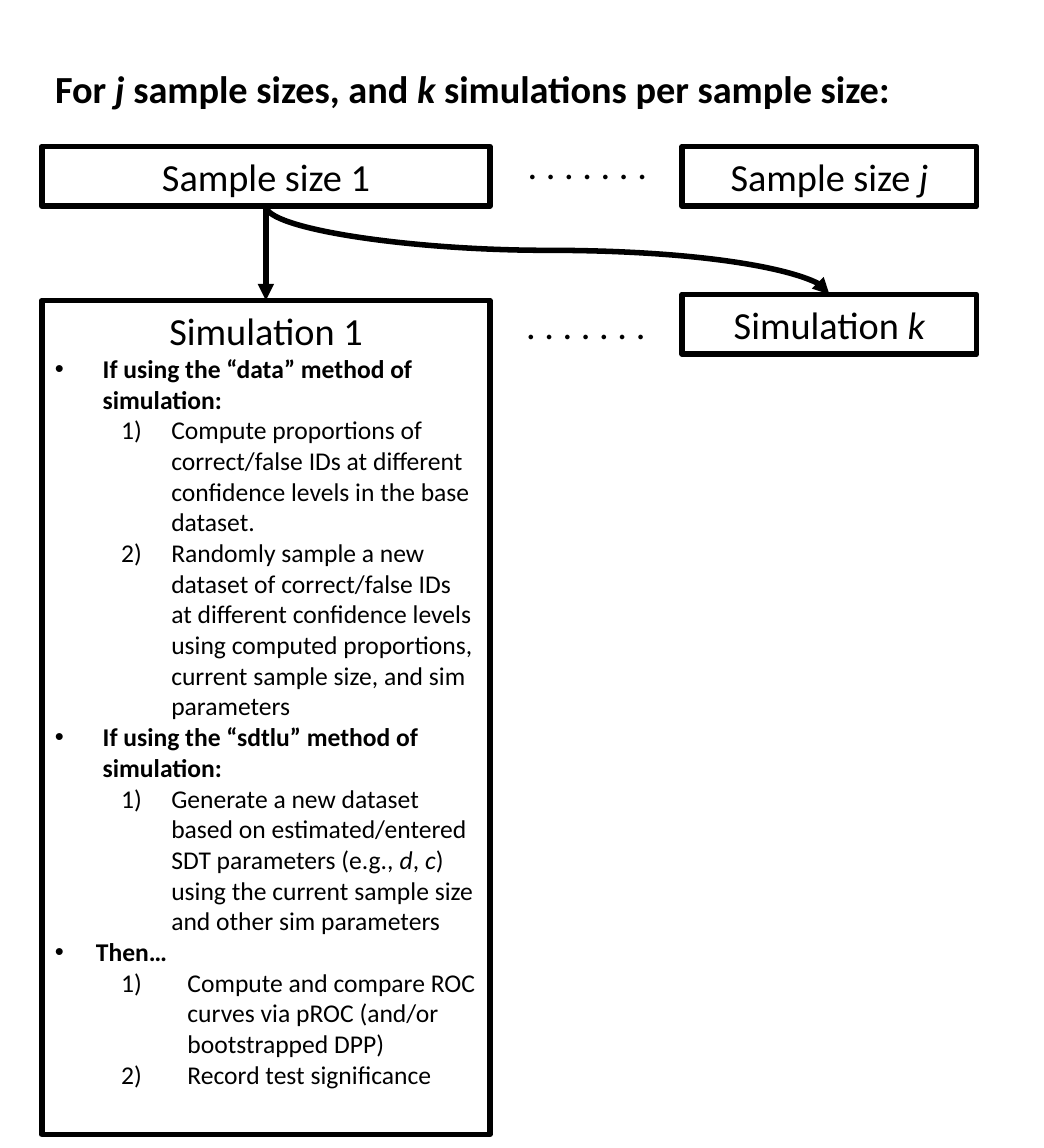
"""Builds a flow slide of simulations run for each sample size."""
from lxml import etree
from pptx import Presentation
from pptx import util as u
from pptx.dml.color import RGBColor
from pptx.enum import shapes, text
from pptx.oxml.ns import qn

COLORS = {"ink": "000000", "paper": "FFFFFF"}
FONT = "Calibri"
HEADING, BODY = 20.8, 13.9
LEFT_X, LEFT_W = 22.7, 243.4
RIGHT_X, RIGHT_W = 370.4, 160
SIZE_Y, RUN_Y = 79.6, 160
BOX_H = 32.4
LINE_W = 3

BULLET = {"marker": ("buChar", "char", "•"), "bold": True}
NUMBER = {"marker": ("buAutoNum", "type", "arabicParenR"), "level": 1}
METHOD = {**BULLET, "margin": 26, "hang": 26}
STEP = {**NUMBER, "margin": 63.2, "hang": 27.2}
FINAL_STEP = {**NUMBER, "margin": 72, "hang": 36}
PROCEDURE = [
    ("If using the “data” method of simulation:", METHOD),
    ("Compute proportions of correct/false IDs at different confidence "
     "levels in the base dataset.", STEP),
    ("Randomly sample a new dataset of correct/false IDs at different "
     "confidence levels using computed proportions, current sample size, "
     "and sim parameters", STEP),
    ("If using the “sdtlu” method of simulation:", METHOD),
    ("Generate a new dataset based on estimated/entered SDT parameters "
     "(e.g., *d*, *c*) using the current sample size and other sim "
     "parameters", STEP),
    ("Then…", {**BULLET, "margin": 22.3, "hang": 22.3}),
    ("Compute and compare ROC curves via pROC (and/or bootstrapped DPP)",
     FINAL_STEP),
    ("Record test significance", FINAL_STEP),
]


def color(name):
    return RGBColor.from_string(COLORS[name])


def write(paragraph, content, size=HEADING, bold=False, align="LEFT",
          marker=None, level=0, margin=0, hang=0):
    """Fills a paragraph; parts between asterisks are italic."""
    paragraph.alignment = getattr(text.PP_ALIGN, align)
    paragraph.level = level
    for index, part in enumerate(content.split("*")):
        if part:
            run = paragraph.add_run()
            run.text = part
            run.font.name = FONT
            run.font.size = u.Pt(size)
            run.font.bold = bold
            run.font.italic = index % 2 == 1
            run.font.color.rgb = color("ink")
    if marker:
        tag, attribute, value = marker
        properties = paragraph._p.get_or_add_pPr()
        properties.set("marL", str(u.Pt(margin)))
        properties.set("indent", str(-u.Pt(hang)))
        etree.SubElement(properties, qn("a:buFont"), typeface="Arial"
                         if tag == "buChar" else "+mj-lt")
        etree.SubElement(properties, qn("a:" + tag)).set(attribute, value)


def prepare_frame(shape):
    frame = shape.text_frame
    frame.word_wrap = True
    frame.auto_size = text.MSO_AUTO_SIZE.NONE
    frame.vertical_anchor = text.MSO_ANCHOR.TOP
    return frame


def add_title(slide, content):
    title = slide.shapes.title
    title.left, title.top = u.Pt(LEFT_X), u.Pt(31.6)
    title.width, title.height = u.Pt(520), u.Pt(BOX_H)
    write(prepare_frame(title).paragraphs[0], content, bold=True)


def add_box(slide, x, y, width, height, heading):
    box = slide.shapes.add_shape(shapes.MSO_SHAPE.RECTANGLE, u.Pt(x), u.Pt(y),
                                 u.Pt(width), u.Pt(height))
    box.shadow.inherit = False
    box.fill.background()
    box.line.color.rgb = color("ink")
    box.line.width = u.Pt(LINE_W)
    write(prepare_frame(box).paragraphs[0], heading, align="CENTER")
    return box


def add_dots(slide, x, y):
    dots = slide.shapes.add_textbox(u.Pt(x), u.Pt(y), u.Pt(100), u.Pt(BOX_H))
    write(prepare_frame(dots).paragraphs[0], ". . . . . . .")


def add_arrow(slide, source, target, kind):
    arrow = slide.shapes.add_connector(kind, 0, 0, 0, 0)
    arrow.begin_connect(source, 2)
    arrow.end_connect(target, 0)
    arrow.line.color.rgb = color("ink")
    arrow.line.width = u.Pt(LINE_W)
    etree.SubElement(arrow.line._get_or_add_ln(), qn("a:tailEnd"),
                     type="triangle")
    etree.SubElement(arrow._element.spPr, qn("a:effectLst"))
    return arrow


def turn_downward(arrow):
    """Makes a curved connector leave and arrive vertically."""
    span, drop = arrow.width, arrow.height
    arrow.left += (span - drop) // 2
    arrow.top += (drop - span) // 2
    arrow.width, arrow.height = drop, span
    frame = arrow._element.spPr.find(qn("a:xfrm"))
    frame.set("rot", str(270 * 60000))
    frame.set("flipH", "1")


def main():
    deck = Presentation()
    deck.slide_width, deck.slide_height = u.Pt(566.93), u.Pt(623.62)
    slide = deck.slides.add_slide(deck.slide_layouts[5])
    slide.background.fill.solid()
    slide.background.fill.fore_color.rgb = color("paper")

    add_title(slide, "For *j* sample sizes, and *k* simulations per sample size:")
    first_size = add_box(slide, LEFT_X, SIZE_Y, LEFT_W, BOX_H, "Sample size 1")
    add_box(slide, RIGHT_X, SIZE_Y, RIGHT_W, BOX_H, "Sample size *j*")
    first_run = add_box(slide, LEFT_X, 163.2, LEFT_W, 453, "Simulation 1")
    last_run = add_box(slide, RIGHT_X, RUN_Y, RIGHT_W, BOX_H, "Simulation *k*")
    for content, style in PROCEDURE:
        write(first_run.text_frame.add_paragraph(), content, size=BODY, **style)

    add_dots(slide, 279.4, 73.4)
    add_dots(slide, 278.6, RUN_Y)
    add_arrow(slide, first_size, first_run, shapes.MSO_CONNECTOR.STRAIGHT)
    turn_downward(add_arrow(slide, first_size, last_run,
                            shapes.MSO_CONNECTOR.CURVE))
    deck.save("out.pptx")


if __name__ == "__main__":
    main()
